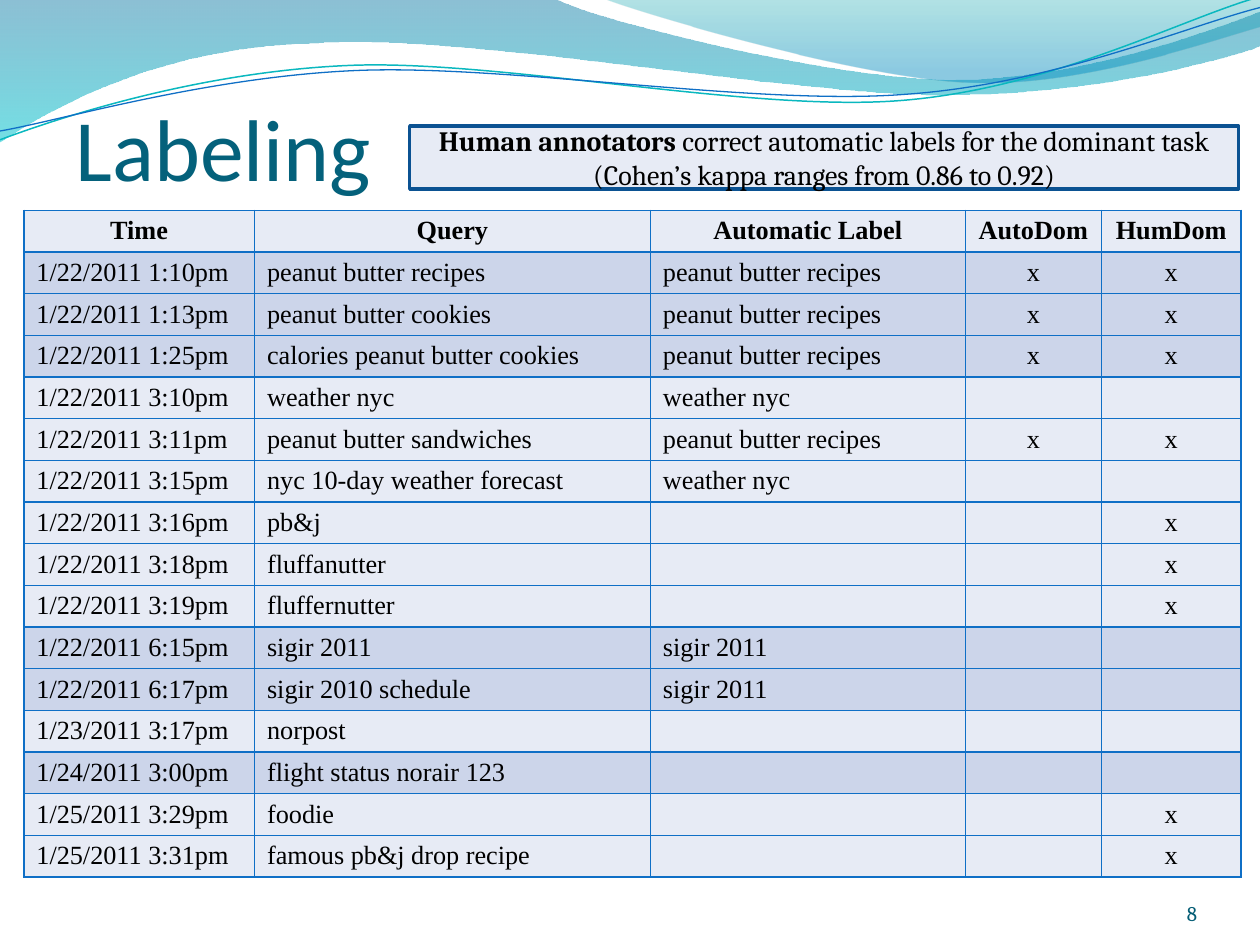
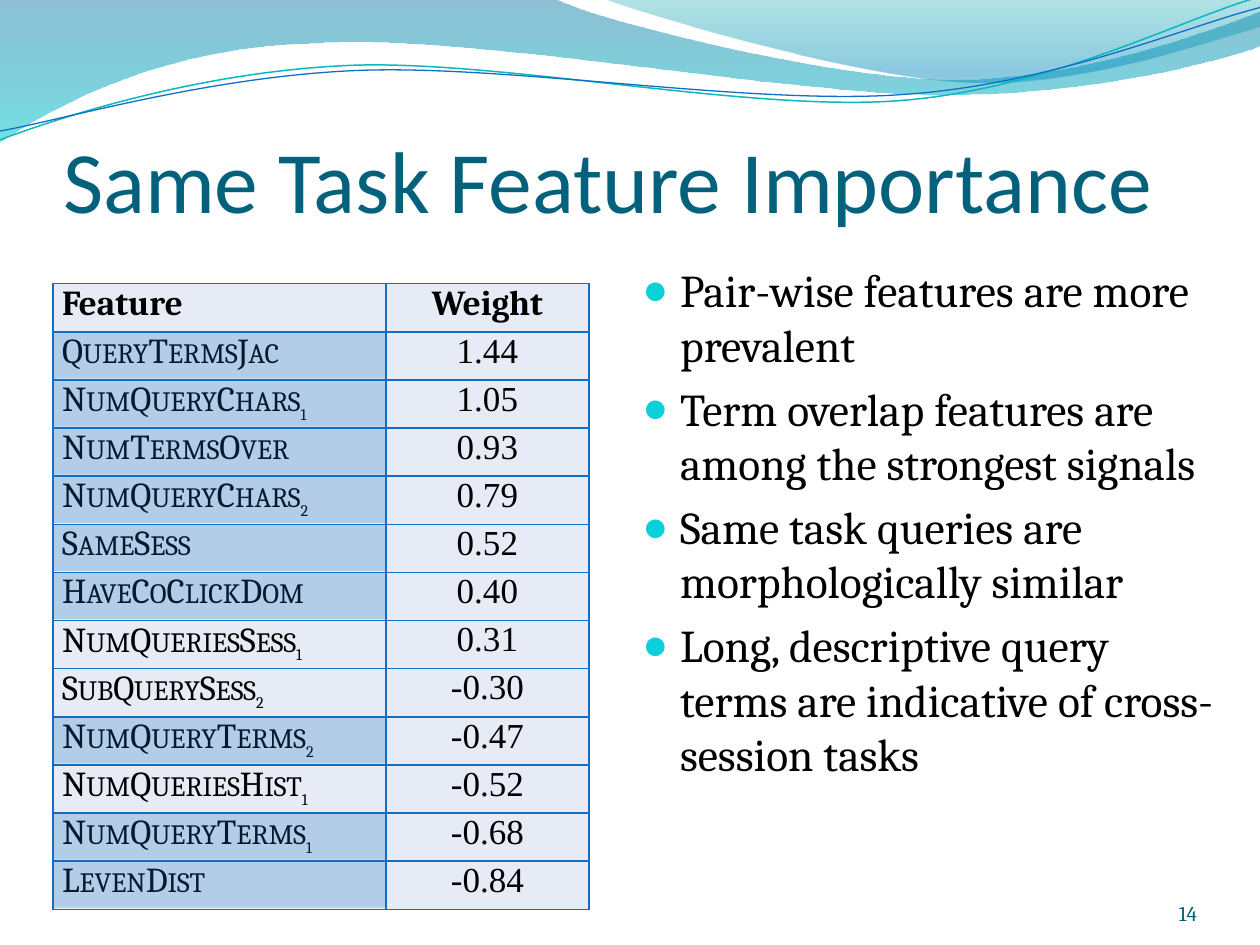
from itertools import islice

from lxml.etree import SubElement
from pptx import Presentation
from pptx.dml.color import RGBColor
from pptx.enum.shapes import MSO_SHAPE as Shape
from pptx.enum.text import MSO_ANCHOR as Anchor, MSO_AUTO_SIZE as AutoSize, PP_ALIGN as Align
from pptx.oxml.ns import qn
from pptx.util import Cm, Pt

COLORS = {
    "text": "000000", "title": "04617B", "number": "045D75", "bullet": "0BD0D9",
    "pale": "E7EBF5", "shaded": "CCD5EA", "accent": "0F6FC6", "frame": "0B5292",
    "teal line": "0AB8BF", "band top": "0074A1", "band bottom": "00C6CF",
    "crest top": "00A1A9", "crest bottom": "008BBF",
}
HEAD, BODY, GRID = "Calibri", "Cambria", "Times New Roman"
WAVE_UNIT = Cm(0.0254)


def rgb(name):
    return RGBColor.from_string(COLORS[name])


def set_alpha(element, percents):
    for color, percent in zip(element.iter(qn("a:srgbClr")), percents):
        SubElement(color, qn("a:alpha")).set("val", str(percent * 1000))


class Deck:
    def __init__(self):
        self.show = Presentation()
        self.show.slide_width, self.show.slide_height = Cm(25.4), Cm(19.05)
        self.slide = None

    def new_slide(self, layout, title, left, top, number):
        self.slide = self.show.slides.add_slide(self.show.slide_layouts[layout])
        heading = self.slide.shapes.title
        self.place(heading, left, top, 22.86, 3.18)
        self.frame(heading, Anchor.BOTTOM, (0, 0.13, 0, 0))
        self.set_text(heading.text_frame.paragraphs[0], title, HEAD, 50, "title")
        footer = self.slide.shapes.add_textbox(Cm(22.02), Cm(17.65), Cm(2.11), Cm(1.02))
        self.frame(footer, Anchor.BOTTOM, (0, 0, 0, 0))
        self.set_text(footer.text_frame.paragraphs[0], number, BODY, 12, "number", Align.RIGHT)

    def place(self, shape, left, top, width, height):
        shape.left, shape.top, shape.width, shape.height = map(Cm, (left, top, width, height))

    def frame(self, shape, anchor, margins=(0.25, 0.13, 0.25, 0.13)):
        frame = shape.text_frame
        frame.word_wrap, frame.auto_size, frame.vertical_anchor = True, AutoSize.NONE, anchor
        self.inset(frame, margins)

    def inset(self, holder, margins):
        (holder.margin_left, holder.margin_top,
         holder.margin_right, holder.margin_bottom) = map(Cm, margins)

    def set_text(self, paragraph, text, font, size, color="text", align=Align.LEFT, bold=None):
        paragraph.alignment = align
        style = paragraph.font
        style.name, style.size, style.bold = font, Pt(size), bold
        style.color.rgb = rgb(color)
        if text:
            paragraph.add_run().text = text

    def wave(self, start, segments, closed):
        builder = self.slide.shapes.build_freeform(*start, scale=WAVE_UNIT)
        builder.add_line_segments([point for part in segments for point in part], close=closed)
        shape = builder.convert_to_shape()
        shape.shadow.inherit = False
        outline = shape._element.find(".//" + qn("a:path"))
        lines = iter(outline.findall(qn("a:lnTo")))
        for part in segments:
            group = list(islice(lines, len(part)))
            if len(part) == 3:
                curve = SubElement(outline, qn("a:cubicBezTo"))
                group[0].addprevious(curve)
                for line in group:
                    curve.append(line[0])
                    outline.remove(line)
        return shape

    def filled_wave(self, start, segments, stops):
        shape = self.wave(start, segments, True)
        shape.line.fill.background()
        shape.fill.gradient()
        shape.fill.gradient_angle = 270
        for stop, (position, color, _) in zip(shape.fill.gradient_stops, stops):
            stop.position, stop.color.rgb = position, rgb(color)
        set_alpha(shape._element, [alpha for *_, alpha in stops])
        return shape

    def line_wave(self, start, segments, color, width):
        shape = self.wave(start, segments, False)
        shape.fill.background()
        shape.line.color.rgb, shape.line.width = rgb(color), Pt(width)
        return shape

    def move_to_master(self, shapes):
        tree = self.show.slide_master.shapes._spTree
        for order, shape in enumerate(shapes):
            shape._element.nvSpPr.cNvPr.set("id", str(100 + order))
            tree.insert(2 + order, shape._element)

    def box(self, left, top, width, height, color):
        shape = self.slide.shapes.add_shape(Shape.RECTANGLE, *map(Cm, (left, top, width, height)))
        shape.shadow.inherit = False
        shape.fill.solid()
        shape.fill.fore_color.rgb = rgb(color)
        shape.line.fill.background()
        return shape

    def callout(self, left, top, width, height, lead, rest):
        shape = self.box(left, top, width, height, "pale")
        shape.line.color.rgb, shape.line.width = rgb("frame"), Pt(2)
        self.frame(shape, Anchor.MIDDLE)
        paragraph = shape.text_frame.paragraphs[0]
        self.set_text(paragraph, lead, BODY, 16, align=Align.CENTER)
        paragraph.runs[0].font.bold = True
        paragraph.add_run().text = rest
        for run in paragraph.runs:
            run.font.color.rgb = rgb("text")

    def highlight(self, left, top, width, height):
        set_alpha(self.box(left, top, width, height, "accent").fill._xPr, [24])

    def table(self, left, top, widths, row_height, row_count):
        table = self.slide.shapes.add_table(
            row_count, len(widths), Cm(left), Cm(top),
            Cm(sum(widths)), Cm(row_height * row_count)).table
        table.first_row = table.horz_banding = False
        for column, width in zip(table.columns, widths):
            column.width = Cm(width)
        for row in table.rows:
            row.height = Cm(row_height)
        return table

    def cell(self, cell, text, font, size, fill, align, bold):
        cell.fill.solid()
        cell.fill.fore_color.rgb = rgb(fill)
        properties = cell._tc.get_or_add_tcPr()
        for order, side in enumerate(("a:lnL", "a:lnR", "a:lnT", "a:lnB")):
            border = SubElement(properties, qn(side), w=str(Pt(1)))
            SubElement(SubElement(border, qn("a:solidFill")), qn("a:srgbClr")).set(
                "val", COLORS["accent"])
            properties.insert(order, border)
        paragraph = cell.text_frame.paragraphs[0]
        self.set_text(paragraph, text, font, size, align=align, bold=bold)
        if not text:
            paragraph._p.get_or_add_endParaRPr().set("sz", str(size * 100))
        return paragraph

    def bullets(self, left, top, width, height, points):
        body = self.slide.placeholders[1]
        self.place(body, left, top, width, height)
        self.frame(body, Anchor.TOP)
        for order, point in enumerate(points):
            frame = body.text_frame
            paragraph = frame.add_paragraph() if order else frame.paragraphs[0]
            layout = paragraph._p.get_or_add_pPr()
            layout.set("marL", str(Cm(0.76)))
            layout.set("indent", str(-Cm(0.76)))
            SubElement(SubElement(layout, qn("a:buClr")), qn("a:srgbClr")).set(
                "val", COLORS["bullet"])
            SubElement(layout, qn("a:buSzPct")).set("val", "95000")
            SubElement(layout, qn("a:buChar")).set("char", "●")
            self.set_text(paragraph, point, BODY, 26)


deck = Deck()
deck.new_slide(5, "Labeling", 1.52, 0.84, "8")

deck.move_to_master([
    deck.filled_wave((0, 0), [
        [(440, -1)],
        [(476, 17), (664, 63), (758, 63)],
        [(853, 63), (958, 26), (1000, 9)],
        [(1001, 36)],
        [(983, 44), (870, 76), (746, 75)],
        [(622, 75), (382, 28), (257, 34)],
        [(129, 36), (46, 83), (-1, 113)],
    ], [(0, "band top", 45), (1, "band bottom", 55)]),
    deck.filled_wave((479, -1), [
        [(509, 11), (682, 62), (769, 65)],
        [(856, 69), (961, 32), (1000, 21)],
        [(1000, 0)],
    ], [(0, "crest top", 30), (0.8, "crest bottom", 45)]),
    deck.line_wave((0, 111), [
        [(48, 93), (158, 57), (277, 52)],
        [(395, 47), (593, 89), (713, 80)],
        [(833, 71), (938, 15), (998, -2)],
    ], "teal line", 0.85),
    deck.line_wave((0, 104), [
        [(47, 96), (164, 61), (283, 56)],
        [(403, 51), (597, 84), (717, 75)],
        [(836, 67), (941, 21), (1000, 6)],
    ], "accent", 0.75),
])

PEANUT, WEATHER, SIGIR = "peanut butter recipes", "weather nyc", "sigir 2011"
queries = [
    ("Time", "Query", "Automatic Label", "AutoDom", "HumDom"),
    ("1/22/2011 1:10pm", "peanut butter recipes", PEANUT, "x", "x"),
    ("1/22/2011 1:13pm", "peanut butter cookies", PEANUT, "x", "x"),
    ("1/22/2011 1:25pm", "calories peanut butter cookies", PEANUT, "x", "x"),
    ("1/22/2011 3:10pm", "weather nyc", WEATHER, "", ""),
    ("1/22/2011 3:11pm", "peanut butter sandwiches", PEANUT, "x", "x"),
    ("1/22/2011 3:15pm", "nyc 10-day weather forecast", WEATHER, "", ""),
    ("1/22/2011 3:16pm", "pb&j", "", "", "x"),
    ("1/22/2011 3:18pm", "fluffanutter", "", "", "x"),
    ("1/22/2011 3:19pm", "fluffernutter", "", "", "x"),
    ("1/22/2011 6:15pm", "sigir 2011", SIGIR, "", ""),
    ("1/22/2011 6:17pm", "sigir 2010 schedule", SIGIR, "", ""),
    ("1/23/2011 3:17pm", "norpost", "", "", ""),
    ("1/24/2011 3:00pm", "flight status norair 123", "", "", ""),
    ("1/25/2011 3:29pm", "foodie", "", "", "x"),
    ("1/25/2011 3:31pm", "famous pb&j drop recipe", "", "", "x"),
]
SHADED_SESSIONS = {1, 2, 3, 10, 11, 13}
log = deck.table(0.48, 4.24, (4.65, 7.98, 6.35, 2.74, 2.82), 0.84, len(queries))
for r, entry in enumerate(queries):
    for c, text in enumerate(entry):
        deck.cell(log.cell(r, c), text, GRID, 15,
                  "shaded" if r in SHADED_SESSIONS else "pale",
                  Align.CENTER if r == 0 or c > 2 else Align.LEFT, r == 0)

deck.callout(8.26, 2.54, 16.71, 1.27, "Human annotators ",
             "correct automatic labels for the dominant task "
             "(Cohen’s kappa ranges from 0.86 to 0.92)")

deck.new_slide(1, "Same Task Feature Importance", 1.27, 1.47, "14")
deck.bullets(12.7, 5.16, 12.07, 13.26, [
    "Pair-wise features are more prevalent",
    "Term overlap features are among the strongest signals",
    "Same task queries are morphologically similar",
    "Long, descriptive query terms are indicative of cross-session tasks",
])

features = [
    ("Feature", "Weight"),
    ("QueryTermsJac", "1.44"),
    ("NumQueryChars_1", "1.05"),
    ("NumTermsOver", "0.93"),
    ("NumQueryChars_2", "0.79"),
    ("SameSess", "0.52"),
    ("HaveCoClickDom", "0.40"),
    ("NumQueriesSess_1", "0.31"),
    ("SubQuerySess_2", "-0.30"),
    ("NumQueryTerms_2", "-0.47"),
    ("NumQueriesHist_1", "-0.52"),
    ("NumQueryTerms_1", "-0.68"),
    ("LevenDist", "-0.84"),
]
PAIRWISE = (1, 2, 3, 4, 5, 6, 9, 11, 12)
LEFT, TOP, ROW = 1.07, 5.72, 0.97
weights = deck.table(LEFT, TOP, (6.71, 4.09), ROW, len(features))
for r, entry in enumerate(features):
    for c, text in enumerate(entry):
        name, _, index = text.partition("_")
        cell = weights.cell(r, c)
        deck.inset(cell, (0.18, 0, 0.18, 0))
        paragraph = deck.cell(cell, name, GRID if r and c else BODY, 20, "pale",
                              Align.CENTER if c else Align.JUSTIFY, r == 0)
        paragraph.space_after = Pt(4)
        if r and not c:
            paragraph.font._element.set("cap", "small")
        if index:
            subscript = paragraph.add_run()
            subscript.text = index
            subscript.font._element.set("baseline", "-25000")
for r in PAIRWISE:
    deck.highlight(LEFT, TOP + r * ROW, 6.73, 0.94)

deck.show.save("out.pptx")
